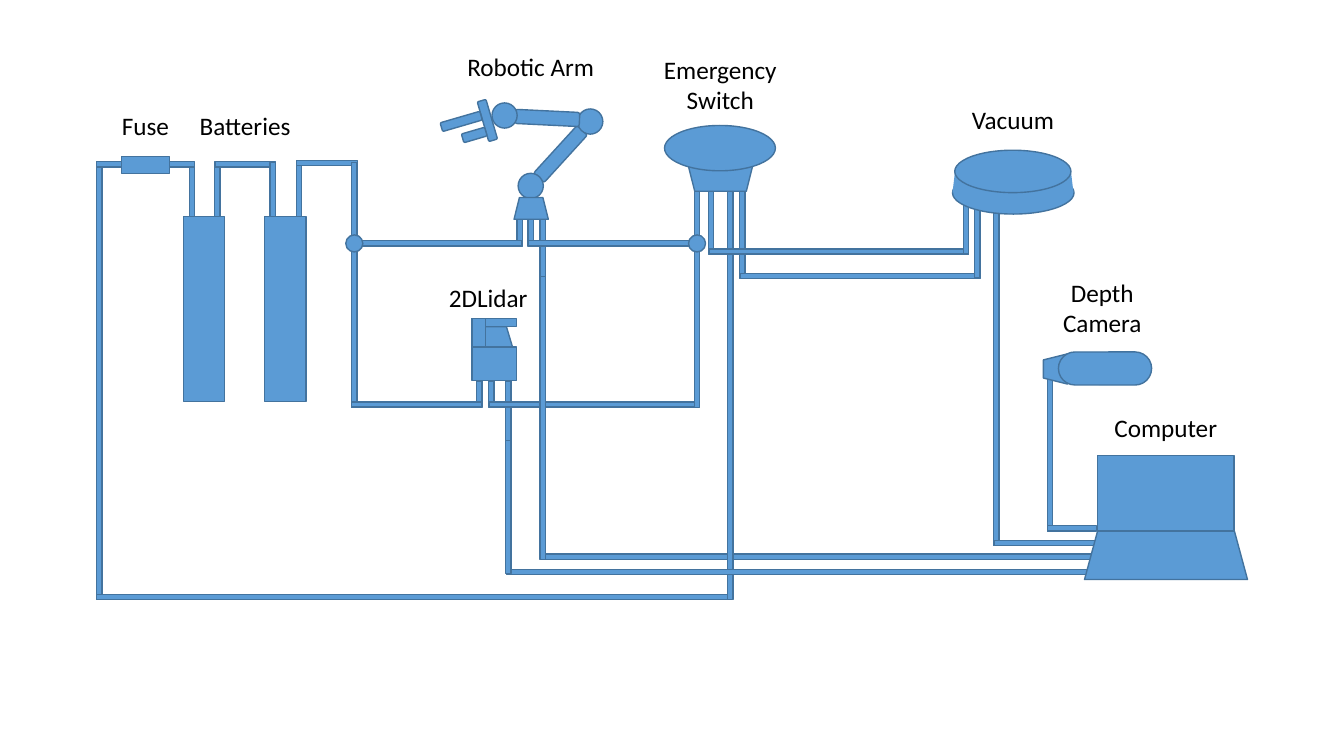
"""Wiring diagram of a mobile robot with arm, sensors, batteries and computer."""
from pptx import Presentation
from pptx.dml.color import RGBColor
from pptx.enum.shapes import MSO_SHAPE as Kind
from pptx.enum.text import MSO_ANCHOR as Anchor, PP_ALIGN as Align
from pptx.util import Pt

WIRE = 3.8
BOX, OVAL, ROUND, TRAPEZOID = Kind.RECTANGLE, Kind.OVAL, Kind.ROUNDED_RECTANGLE, Kind.TRAPEZOID

deck = Presentation()
deck.slide_width, deck.slide_height = Pt(960), Pt(540)
page = deck.slides.add_slide(deck.slide_layouts[6])


def draw(kind, left, top, width, height, turn=0, adjust=None, outlined=True):
    shape = page.shapes.add_shape(kind, Pt(left), Pt(top), Pt(width), Pt(height))
    shape.rotation = turn
    shape.shadow.inherit = False
    shape.fill.solid()
    shape.fill.fore_color.rgb = RGBColor.from_string("5B9BD5")
    if adjust is not None:
        shape.adjustments[0] = adjust
    if outlined:
        shape.line.color.rgb = RGBColor.from_string("43739E")
        shape.line.width = Pt(1)
    else:
        shape.line.fill.background()


def write(text, left, top, width, height, size=18, font="Calibri", color="000000"):
    box = page.shapes.add_textbox(Pt(left), Pt(top), Pt(width), Pt(height))
    frame = box.text_frame
    frame.word_wrap = False
    frame.vertical_anchor = Anchor.TOP
    frame.text = text
    for para in frame.paragraphs:
        para.alignment = Align.CENTER
        span = para.runs[0]
        span.font.size, span.font.name = Pt(size), font
        span.font.color.rgb = RGBColor.from_string(color)


wires = [
    ("across", 397.6, 386.3, 783.7), ("down", 508, 130.3, 181.4),
    ("down", 137.2, 115.9, 154.8), ("down", 155.2, 115.9, 154.8),
    ("down", 70.9, 115.9, 428.4), ("across", 117.4, 153.7, 196.9),
    ("across", 426.6, 69.1, 523.4), ("down", 194.8, 115.9, 154.8),
    ("down", 213.5, 115.9, 154.8), ("across", 117.4, 69.1, 139),
    ("down", 342.4, 272.2, 290.9), ("down", 351, 272.2, 290.9),
    ("down", 363.2, 272.2, 315.4), ("down", 387.7, 156.6, 199.4),
    ("down", 371.2, 156.6, 175.7), ("down", 379.1, 156.6, 175.7),
    ("across", 116.6, 212, 255.2), ("down", 253.1, 115.9, 290.9),
    ("across", 289, 251.3, 343.8), ("across", 173.9, 251.3, 373),
    ("down", 521.6, 136.8, 428.4), ("across", 173.9, 377.3, 499.3),
    ("across", 289, 349.6, 499.3), ("down", 497.9, 115.9, 290.9),
    ("down", 530.3, 135.4, 198.9), ("across", 179.7, 506.5, 692),
    ("across", 197.3, 528.8, 700), ("down", 690.1, 130.3, 181.4),
    ("down", 698.2, 134.6, 198.7), ("down", 711.7, 152.6, 389.5),
    ("across", 387.9, 709.9, 784.1), ("down", 750.1, 262.8, 379.4),
    ("across", 377.5, 748.3, 783.4), ("across", 408.6, 361.8, 783.7),
    ("down", 363.2, 314.6, 409.7), ("down", 387.7, 197.3, 399.5),
]
for direction, centre, start, end in wires:
    edge, length = centre - WIRE / 2, end - start
    if direction == "across":
        draw(BOX, start, edge, length, WIRE)
    else:
        draw(BOX, edge, start, WIRE, length)

fuse = [(BOX, 86.7, 111.8, 34.5, 12)]
batteries = [(BOX, left, 154.8, 29.6, 132) for left in (131, 189.1)]
lidar = [
    (BOX, 337.1, 247.8, 31.7, 23.9),
    (TRAPEZOID, 337.7, 233.3, 28.4, 14.5, 0, 0.3),
    (BOX, 337.1, 227.6, 31.7, 5.8),
    (BOX, 337.1, 227.6, 9.6, 20.2),
]
robotic_arm = [
    (ROUND, 395.3, 87.1, 10.1, 46.1, 42.4),
    (OVAL, 412.6, 77.8, 18, 18),
    (ROUND, 385.9, 61.2, 10.1, 46.1, 272.8),
    (OVAL, 351.4, 73.5, 18, 18),
    (OVAL, 370.1, 123.8, 18, 18),
    (TRAPEZOID, 367.2, 141.1, 24.5, 15.5),
    (ROUND, 344.9, 71.3, 6.5, 29.5, 343.8),
    (ROUND, 326.2, 72, 6.5, 29.5, 73.8),
    (ROUND, 335.5, 87.8, 6.5, 17.3, 73.8),
]
emergency_switch = [
    (TRAPEZOID, 488.9, 107.3, 51.5, 29.3, 180),
    (OVAL, 474.7, 89.6, 79.2, 32.4),
]
vacuum = [
    (OVAL, 680.4, 122.6, 86.8, 30.3),
    (TRAPEZOID, 680.4, 122.4, 86.4, 15.1, 0, 0.12, False),
    (OVAL, 682, 107.3, 83, 30.3),
]
junctions = [(OVAL, left, 167.8, 12.2, 12.2) for left in (247, 491.8)]
computer = [
    (TRAPEZOID, 774.7, 379.3, 116.4, 34.6, 0, 0.27),
    (BOX, 784.1, 325.6, 97.4, 53.7),
]
depth_camera = [
    (TRAPEZOID, 743.2, 254.9, 21.6, 17.3, 270),
    (ROUND, 756, 251.4, 66.6, 23.6, 180, 0.5),
]
devices = [fuse, batteries, lidar, robotic_arm, emergency_switch,
           vacuum, junctions, computer, depth_camera]
for device in devices:
    for part in device:
        draw(*part)

labels = [
    ("Computer", 788.4, 290.9, 88.6, 28.8),
    ("Emergency\nSwitch", 466.6, 35.3, 95.8, 51.1),
    ("Vacuum", 685.4, 71, 76.3, 28.8),
    ("Depth\nCamera", 751.7, 194.4, 71.3, 51.1),
    ("Robotic Arm", 326.2, 33.1, 105.8, 28.8),
    ("2DLidar", 313, 198, 71.3, 28.8),
    ("Batteries", 134.8, 75, 80.6, 28.8),
    ("Fuse", 79.3, 75.2, 49, 28.8),
]
for label in labels:
    write(*label)

deck.save("out.pptx")
